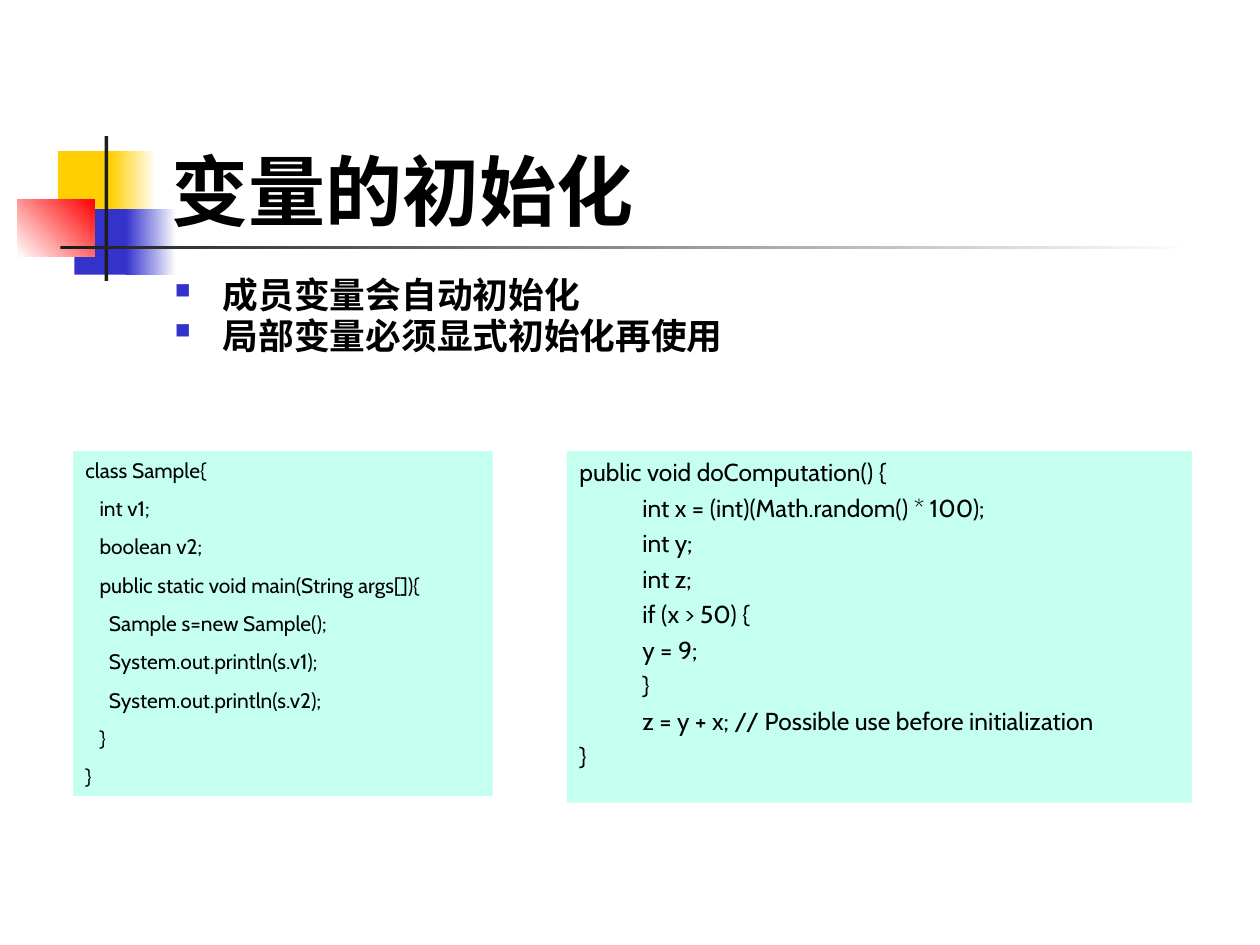
from dataclasses import dataclass

from lxml import etree
from pptx import Presentation
from pptx.dml.color import RGBColor
from pptx.enum.shapes import MSO_SHAPE
from pptx.enum.text import MSO_ANCHOR, MSO_AUTO_SIZE, PP_ALIGN
from pptx.oxml.ns import qn
from pptx.util import Inches, Pt

RECTANGLE = MSO_SHAPE.RECTANGLE
TOP, BOTTOM = MSO_ANCHOR.TOP, MSO_ANCHOR.BOTTOM
LEFT, JUSTIFY = PP_ALIGN.LEFT, PP_ALIGN.JUSTIFY
NO_AUTOFIT = MSO_AUTO_SIZE.NONE
TITLE_ONLY = 5


@dataclass(frozen=True)
class Theme:
    font: str = "Cabin"
    text: str = "000000"
    white: str = "FFFFFF"
    yellow: str = "FFCF01"
    blue: str = "3333CC"
    red: str = "FF0000"
    dark: str = "1C1C1C"
    panel: str = "C5FFF0"
    title_size: float = 44
    bullet_size: float = 20.4
    class_size: float = 12
    method_size: float = 14


THEME = Theme()

TITLE = "变量的初始化"
POINTS = ["成员变量会自动初始化", "局部变量必须显式初始化再使用"]

CLASS_CODE = """class Sample{
   int v1;
   boolean v2;
   public static void main(String args[]){
     Sample s=new Sample();
     System.out.println(s.v1);
     System.out.println(s.v2);
   }
}""".splitlines()

METHOD_START = "public void doComputation() {"
METHOD_BODY = [
    "int x = (int)(Math.random() * 100);",
    "int y;",
    "int z;",
    "if (x > 50) {",
    "y = 9;",
    "}",
    "z = y + x; // Possible use before initialization",
]
METHOD_END = "}"


def place(shape, left, top, width, height):
    shape.left, shape.top = Inches(left), Inches(top)
    shape.width, shape.height = Inches(width), Inches(height)


def add_block(page, area, color, end_color=None, angle=0):
    """Add a borderless rectangle, plain or with a two-colour gradient."""
    block = page.shapes.add_shape(RECTANGLE, *map(Inches, area))
    block.shadow.inherit = False
    block.line.fill.background()
    if end_color is None:
        block.fill.solid()
        block.fill.fore_color.rgb = RGBColor.from_string(color)
    else:
        block.fill.gradient()
        block.fill.gradient_angle = angle
        for stop, stop_color in zip(block.fill.gradient_stops, (color, end_color)):
            stop.color.rgb = RGBColor.from_string(stop_color)
    return block


def set_indent(paragraph, margin, first_line):
    properties = paragraph._p.get_or_add_pPr()
    properties.set("marL", str(Inches(margin)))
    properties.set("indent", str(Inches(first_line)))


def add_bullet(paragraph):
    properties = paragraph._p.get_or_add_pPr()
    color = etree.SubElement(properties, qn("a:buClr"))
    etree.SubElement(color, qn("a:srgbClr")).set("val", THEME.blue)
    etree.SubElement(properties, qn("a:buSzPct")).set("val", "60000")
    etree.SubElement(properties, qn("a:buChar")).set("char", "■")


def write_lines(frame, lines, size, bold=False, align=LEFT, gap=0):
    """Fill a frame with one formatted paragraph for each line."""
    frame.word_wrap = True
    frame.auto_size = NO_AUTOFIT
    frame.text = "\n".join(lines)
    for index, paragraph in enumerate(frame.paragraphs):
        paragraph.alignment = align
        paragraph.space_before = Pt(gap if index else 0)
        for span in paragraph.runs:
            span.font.name = THEME.font
            span.font.size = Pt(size)
            span.font.bold = bold
            span.font.color.rgb = RGBColor.from_string(THEME.text)


def add_ornament(page):
    add_block(page, (0.46, 1.2, 0.48, 0.52), THEME.yellow)
    add_block(page, (0.88, 1.2, 0.36, 0.52), THEME.yellow, THEME.white)
    add_block(page, (0.59, 1.66, 0.46, 0.52), THEME.blue)
    add_block(page, (1, 1.66, 0.4, 0.52), THEME.blue, THEME.white)
    add_block(page, (0.14, 1.58, 0.61, 0.46), THEME.white, THEME.red, angle=45)
    add_block(page, (0.83, 1.08, 0.03, 1.15), THEME.dark)
    add_block(page, (0.48, 1.95, 9, 0.03), THEME.dark, THEME.white)


def add_title(page):
    title = page.shapes.title
    place(title, 1.26, 0.67, 8.52, 1.25)
    write_lines(title.text_frame, [TITLE], THEME.title_size, bold=True)
    title.text_frame.vertical_anchor = BOTTOM
    # Bring the title in front of the ornament
    page.shapes._spTree.append(title._element)


def add_points(page):
    box = page.shapes.add_textbox(*map(Inches, (1.29, 2.21, 8.5, 1.29)))
    write_lines(box.text_frame, POINTS, THEME.bullet_size, True, JUSTIFY, gap=6)
    for paragraph in box.text_frame.paragraphs:
        add_bullet(paragraph)
        set_indent(paragraph, 0.38, -0.38)
        paragraph.line_spacing = 0.7


def add_code(page, area, lines, size, align, gap):
    panel = add_block(page, area, THEME.panel)
    panel.text_frame.vertical_anchor = TOP
    write_lines(panel.text_frame, lines, size, align=align, gap=gap)
    return panel.text_frame.paragraphs


def add_method(page):
    lines = [METHOD_START, *METHOD_BODY, METHOD_END]
    area = (4.5, 3.58, 4.96, 2.79)
    paragraphs = add_code(page, area, lines, THEME.method_size, JUSTIFY, 3.5)
    for paragraph in paragraphs:
        set_indent(paragraph, 0.38, -0.38)
    for paragraph in paragraphs[1:-1]:
        paragraph.level = 1
        set_indent(paragraph, 0.81, -0.31)


def main():
    deck = Presentation()
    deck.slide_width, deck.slide_height = Inches(10), Inches(7.5)
    page = deck.slides.add_slide(deck.slide_layouts[TITLE_ONLY])

    # Heading
    add_ornament(page)
    add_title(page)
    add_points(page)

    # Code samples
    add_code(page, (0.58, 3.58, 3.33, 2.74), CLASS_CODE, THEME.class_size, LEFT, 7.5)
    add_method(page)

    deck.save("out.pptx")


if __name__ == "__main__":
    main()
